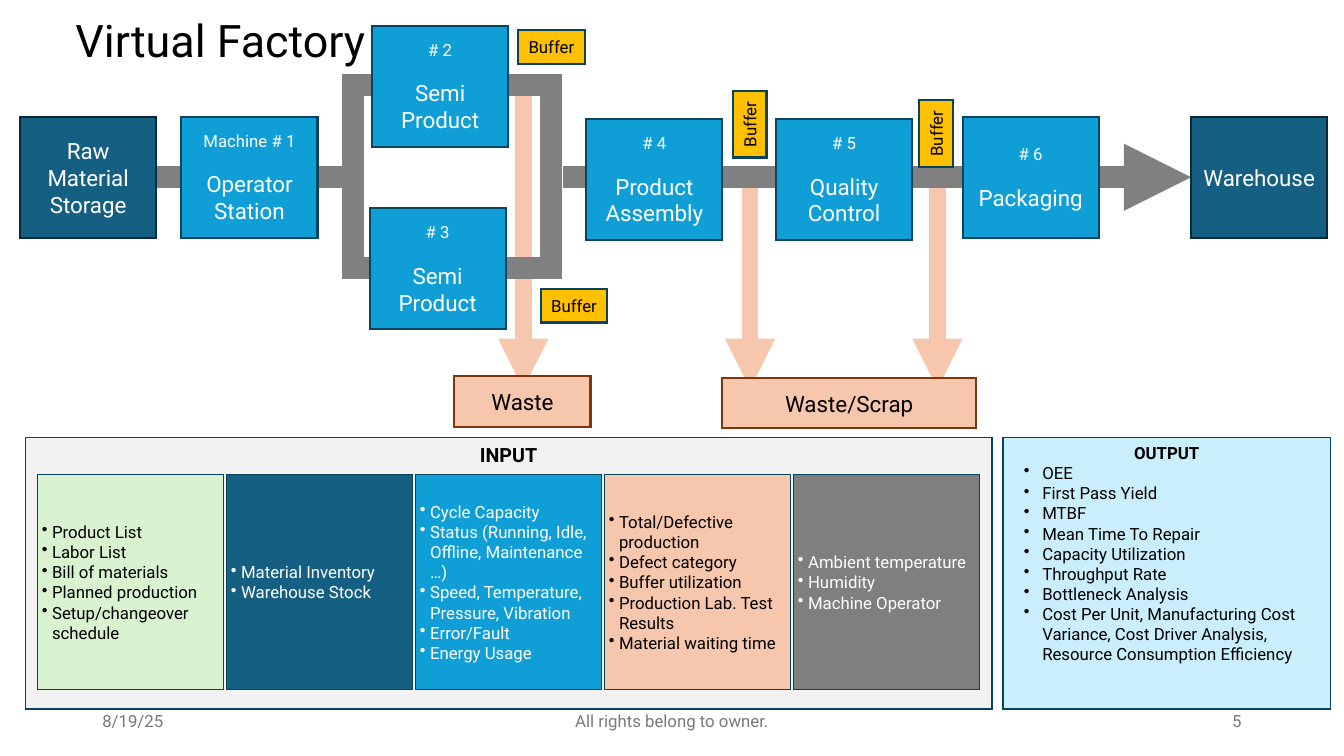
from dataclasses import dataclass
from typing import Optional

import pptx
import pptx.dml.color
import pptx.enum.shapes
import pptx.enum.text
import pptx.oxml
import pptx.oxml.ns
import pptx.util

COLS, ROWS = 160, 90
CELL = pptx.util.Inches(7.5) / ROWS
FONT = "Roboto"
ALIGN = pptx.enum.text.PP_ALIGN
ANCHOR = pptx.enum.text.MSO_ANCHOR
BLACK, WHITE, GREY = "000000", "FFFFFF", "808080"
NAVY, BLUE, EDGE = "156082", "0F9ED5", "07455D"
PEACH, AMBER, FOOTER_GREY = "F6C6AD", "FFC000", "797979"
FLOW_ROW = 21.1
BOX_W, BOX_H = 16.2, 14.4
BUFFER_W, BUFFER_H = 7.9, 4


@dataclass
class Para:
    text: str
    size: float = 12
    bold: bool = False
    align: ALIGN = ALIGN.CENTER
    after: float = 0
    indent: float = 0
    hang: float = 0
    spacing: Optional[float] = None


@dataclass
class Box:
    """A rectangle in grid cells, with its colours and text."""
    col: float
    row: float
    width: float
    height: float
    fill: Optional[str]
    edge: str
    paras: list[Para]
    color: str = BLACK
    weight: float = 1.5
    anchor: ANCHOR = ANCHOR.MIDDLE
    inset: Optional[tuple[float, float]] = None
    rotation: float = 0


@dataclass
class Label:
    col: float
    row: float
    width: float
    height: float
    para: Para
    color: str


@dataclass
class Line:
    col1: float
    row1: float
    col2: float
    row2: float
    color: str
    weight: float
    arrow: bool = True


def cells(n: float) -> int:
    return round(n * CELL)


def rgb(hex_color: str) -> pptx.dml.color.RGBColor:
    return pptx.dml.color.RGBColor.from_string(hex_color)


def write(tf, paras: list[Para], color: str, anchor: ANCHOR) -> None:
    tf.word_wrap = True
    tf.vertical_anchor = anchor
    for i, para in enumerate(paras):
        p = tf.paragraphs[0] if i == 0 else tf.add_paragraph()
        p.alignment = para.align
        p.space_after = pptx.util.Pt(para.after)
        if para.spacing:
            p.line_spacing = para.spacing
        if para.hang:
            pPr = p._p.get_or_add_pPr()
            pPr.set("marL", str(cells(para.indent)))
            pPr.set("indent", str(-cells(para.hang)))
            bullet = pptx.oxml.parse_xml(
                f'<a:buChar {pptx.oxml.ns.nsdecls("a")} char="•"/>')
            pPr.append(bullet)
        r = p.add_run()
        r.text = para.text
        r.font.name = FONT
        r.font.size = pptx.util.Pt(para.size)
        r.font.bold = para.bold
        r.font.color.rgb = rgb(color)


def draw_box(s, box: Box):
    sp = s.shapes.add_shape(
        pptx.enum.shapes.MSO_SHAPE.RECTANGLE,
        cells(box.col), cells(box.row), cells(box.width), cells(box.height))
    sp.shadow.inherit = False
    sp.rotation = box.rotation
    if box.fill:
        sp.fill.solid()
        sp.fill.fore_color.rgb = rgb(box.fill)
    else:
        sp.fill.background()
    sp.line.color.rgb = rgb(box.edge)
    sp.line.width = pptx.util.Pt(box.weight)
    sp.line._get_or_add_ln().append(pptx.oxml.parse_xml(
        f'<a:miter {pptx.oxml.ns.nsdecls("a")} lim="800000"/>'))
    tf = sp.text_frame
    if box.inset is not None:
        tf.margin_left = tf.margin_right = cells(box.inset[0])
        tf.margin_top = tf.margin_bottom = cells(box.inset[1])
    write(tf, box.paras, box.color, box.anchor)
    return sp


def draw_label(s, label: Label) -> None:
    sp = s.shapes.add_textbox(cells(label.col), cells(label.row),
                              cells(label.width), cells(label.height))
    write(sp.text_frame, [label.para], label.color, ANCHOR.MIDDLE)


def draw_line(s, line: Line):
    cxn = s.shapes.add_connector(
        pptx.enum.shapes.MSO_CONNECTOR.STRAIGHT,
        cells(line.col1), cells(line.row1), cells(line.col2), cells(line.row2))
    cxn.line.color.rgb = rgb(line.color)
    cxn.line.width = pptx.util.Pt(line.weight)
    ns = pptx.oxml.ns.nsdecls("a")
    if line.arrow:
        cxn.line._get_or_add_ln().append(
            pptx.oxml.parse_xml(f'<a:tailEnd {ns} type="triangle"/>'))
    cxn._element.spPr.append(pptx.oxml.parse_xml(f"<a:effectLst {ns}/>"))
    return cxn


def bullets(items: list[str], indent: float, hang: float) -> list[Para]:
    return [Para(t, align=ALIGN.LEFT, indent=indent, hang=hang) for t in items]


def storage(col: float, name: str) -> Box:
    return Box(col, 13.9, BOX_W, BOX_H, NAVY, "092A39", [Para(name, 16)], WHITE)


STATIONS = [
    (21.6, 13.9, "Machine # 1", ["Operator Station"]),
    (44.3, 3.1, "# 2", ["Semi Product"]),
    (44, 24.8, "# 3", ["Semi Product"]),
    (69.8, 14.2, "# 4", ["Product", "Assembly"]),
    (92.4, 14.2, "# 5", ["Quality Control"]),
    (114.6, 13.9, "# 6", ["Packaging"]),
]
WASTE_ARROWS = [(62.3, 11.4), (89.3, 22.4), (111.6, 22.4)]
WASTE_BOXES = [(54.1, 44.8, BOX_W, "Waste"), (86, 45, 30.2, "Waste/Scrap")]
BUFFERS = [(85.3, 12.8, 270), (107.5, 13.9, 270), (61.7, 3.6, 0), (64.4, 34.4, 0)]
INPUTS = [
    ("D9F2D0", BLACK, ["Product List", "Labor List", "Bill of materials",
                       "Planned production", "Setup/changeover schedule"]),
    (NAVY, WHITE, ["Material Inventory", "Warehouse Stock"]),
    (BLUE, WHITE, ["Cycle Capacity", "Status (Running, Idle, Offline, Maintenance …)",
                   "Speed, Temperature, Pressure, Vibration", "Error/Fault", "Energy Usage"]),
    (PEACH, BLACK, ["Total/Defective production", "Defect category", "Buffer utilization",
                    "Production Lab. Test Results", "Material waiting time"]),
    ("7F7F7F", WHITE, ["Ambient temperature", "Humidity", "Machine Operator"]),
]
OUTPUTS = ["OEE", "First Pass Yield", "MTBF", "Mean Time To Repair", "Capacity Utilization",
           "Throughput Rate", "Bottleneck Analysis",
           "Cost Per Unit, Manufacturing Cost Variance, Cost Driver Analysis, "
           "Resource Consumption Efficiency"]
LABELS = [
    Label(7.8, 1.7, 138, 6.8, Para("Virtual Factory", 32, align=ALIGN.LEFT, spacing=0.9), BLACK),
    Label(11, 83.4, 36, 4.8, Para("8/19/25", align=ALIGN.LEFT), FOOTER_GREY),
    Label(53, 83.4, 54, 4.8, Para("All rights belong to owner."), FOOTER_GREY),
    Label(113, 83.4, 36, 4.8, Para("5", align=ALIGN.RIGHT), FOOTER_GREY),
]


def main() -> None:
    prs = pptx.Presentation()
    prs.slide_width, prs.slide_height = cells(COLS), cells(ROWS)
    s = prs.slides.add_slide(prs.slide_layouts[6])

    draw_box(s, Box(3, 52.1, 115.1, 32.3, "F2F2F2", EDGE, [Para("INPUT", 14, True)],
                    weight=1, anchor=ANCHOR.TOP))
    for col, row in WASTE_ARROWS:
        draw_line(s, Line(col, row, col, 46.3, PEACH, 12))
    draw_line(s, Line(7.8, FLOW_ROW, 43.2, FLOW_ROW, GREY, 16, arrow=False))
    draw_box(s, Box(42, 10.1, 23.6, 21.8, None, GREY, [], weight=16))
    flow_out = draw_line(s, Line(67, FLOW_ROW, 141.8, FLOW_ROW, GREY, 16))

    for label in LABELS:
        draw_label(s, label)
    draw_box(s, storage(2.4, "Raw Material Storage"))
    for col, row, number, names in STATIONS:
        paras = [Para(number, after=14)] + [Para(name, 16) for name in names]
        draw_box(s, Box(col, row, BOX_W, BOX_H, BLUE, EDGE, paras, WHITE))
    warehouse = draw_box(s, storage(141.8, "Warehouse"))
    flow_out.end_connect(warehouse, 1)

    for col, row, width, name in WASTE_BOXES:
        draw_box(s, Box(col, row, width, 6, PEACH, "80350E", [Para(name, 16)]))
    for col, row, rotation in BUFFERS:
        draw_box(s, Box(col, row, BUFFER_W, BUFFER_H, AMBER, EDGE, [Para("Buffer")],
                        inset=(0, 0), rotation=rotation))
    for i, (fill, color, items) in enumerate(INPUTS):
        draw_box(s, Box(4.5 + 22.5 * i, 56.5, 22.1, 25.6, fill, EDGE,
                        bullets(items, 1.2, 1.2), color, 1, inset=(0.5, 0)))
    draw_box(s, Box(119.4, 52.1, 39, 32.3, "CAEEFB", EDGE,
                    [Para("OUTPUT", bold=True)] + bullets(OUTPUTS, 3.5, 2.2),
                    weight=1, anchor=ANCHOR.TOP))
    prs.save("out.pptx")


if __name__ == "__main__":
    main()
